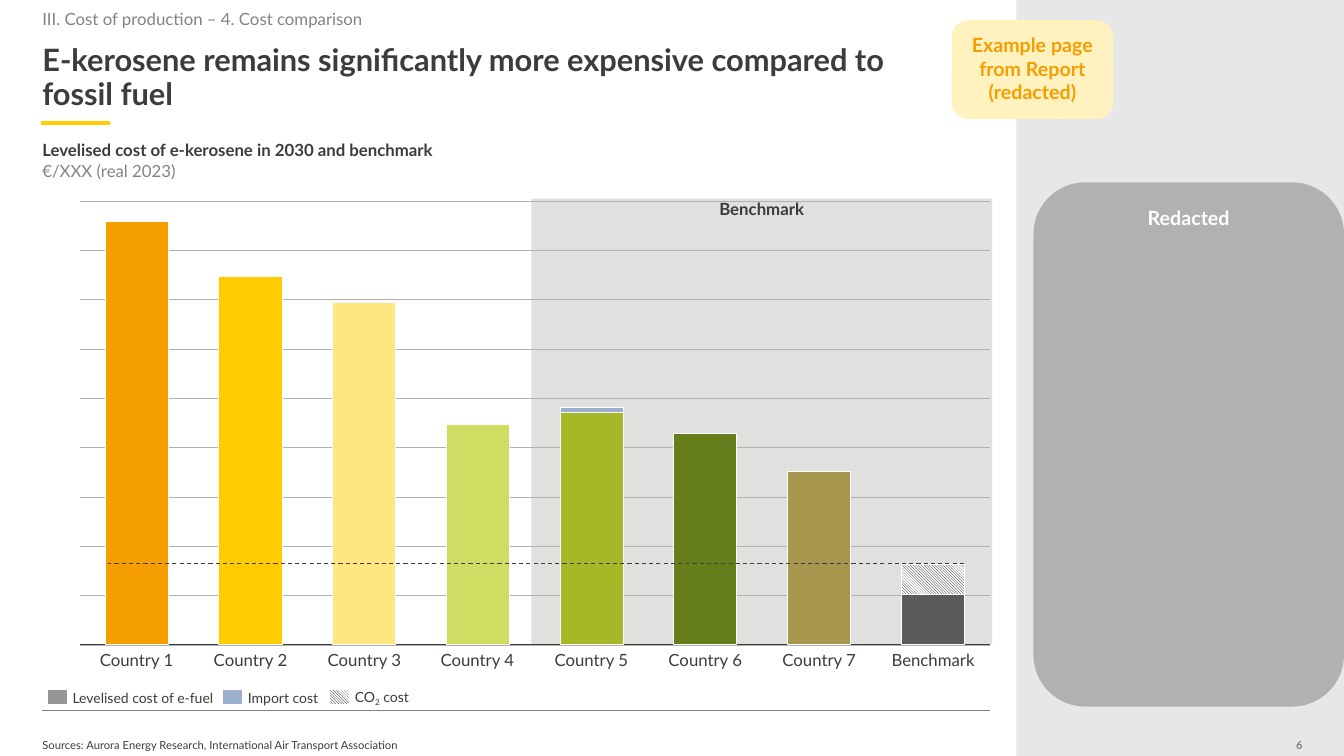
from dataclasses import dataclass
from lxml.etree import SubElement
from pptx import Presentation
from pptx.chart.data import CategoryChartData
from pptx.dml.color import RGBColor
from pptx.enum.chart import XL_CHART_TYPE as ChartType
from pptx.enum.chart import XL_TICK_LABEL_POSITION as TickLabel
from pptx.enum.chart import XL_TICK_MARK as TickMark
from pptx.enum.dml import MSO_LINE as Dash
from pptx.enum.dml import MSO_PATTERN as Pattern
from pptx.enum.shapes import MSO_CONNECTOR as Connector
from pptx.enum.shapes import MSO_SHAPE as Shape
from pptx.enum.text import MSO_ANCHOR as Anchor
from pptx.enum.text import MSO_AUTO_SIZE as AutoSize
from pptx.enum.text import PP_ALIGN as Align
from pptx.oxml.ns import qn
from pptx.util import Emu, Pt

PX = 9144


@dataclass(frozen=True)
class Theme:
    font: str = "Lato"
    title: int = 22
    callout: int = 14
    body: int = 12
    small: int = 10
    note: int = 8
    ink: str = "3C3C3B"
    muted: str = "838383"
    rule: str = "808080"
    white: str = "FFFFFF"
    black: str = "000000"
    panel: str = "E7E7E7"
    band: str = "E0E0DF"
    grey: str = "B1B1B0"
    yellow: str = "FFCC00"
    orange: str = "F59E00"
    cream: str = "FFF2BF"
    efuel: str = "969696"
    imports: str = "9DB1CF"
    hatch: str = "hatch"
    bars: tuple = ("F59E00", "FFCC00", "FFE680", "CFDE63",
                   "A6B727", "657D1A", "A6964E", "5A5A5A")


def rgb(colour):
    return RGBColor.from_string(colour)


def px(*lengths):
    return [Emu(length * PX) for length in lengths]


class SlideBuilder:
    def __init__(self, slide, theme):
        self.slide = slide
        self.theme = theme

    def paint(self, fill, colour):
        if colour == self.theme.hatch:
            fill.patterned()
            fill.pattern = Pattern.LIGHT_DOWNWARD_DIAGONAL
            fill.fore_color.rgb = rgb(self.theme.black)
            fill.back_color.rgb = rgb(self.theme.white)
        else:
            fill.solid()
            fill.fore_color.rgb = rgb(colour)

    def stroke(self, line, colour, width):
        line.color.rgb = rgb(colour)
        line.width = Pt(width)

    def style(self, paragraph, size, colour, bold=False, align=Align.LEFT, spacing=None):
        paragraph.alignment = align
        if spacing:
            paragraph.line_spacing = spacing
        for run in paragraph.runs:
            run.font.name = self.theme.font
            run.font.size = Pt(size)
            run.font.bold = bold
            run.font.color.rgb = rgb(colour)

    def fit(self, frame, inset=0, anchor=Anchor.TOP, wrap=True):
        frame.auto_size = AutoSize.NONE
        frame.word_wrap = wrap
        frame.vertical_anchor = anchor
        frame.margin_left, frame.margin_top, frame.margin_right, frame.margin_bottom = px(*[inset] * 4)

    def title(self, box, text):
        heading = self.slide.shapes.title
        heading.left, heading.top, heading.width, heading.height = px(*box)
        self.fit(heading.text_frame)
        heading.text_frame.text = text
        self.style(heading.text_frame.paragraphs[0], self.theme.title, self.theme.ink, True, spacing=0.9)

    def text(self, box, text, size, colour, anchor=Anchor.TOP, wrap=False, **looks):
        frame = self.slide.shapes.add_textbox(*px(*box)).text_frame
        self.fit(frame, anchor=anchor, wrap=wrap)
        frame.text = text
        for paragraph in frame.paragraphs:
            self.style(paragraph, size, colour, **looks)
        return frame.paragraphs

    def block(self, box, colour, kind=Shape.RECTANGLE, outline=None):
        block = self.slide.shapes.add_shape(kind, *px(*box))
        block.shadow.inherit = False
        self.paint(block.fill, colour)
        if outline:
            self.stroke(block.line, outline, 0.75)
        else:
            block.line.fill.background()
        return block

    def callout(self, box, text, fill, colour):
        frame = self.block(box, fill, Shape.ROUNDED_RECTANGLE).text_frame
        self.fit(frame, inset=8)
        frame.text = text
        self.style(frame.paragraphs[0], self.theme.callout, colour, True, Align.CENTER)

    def line(self, start, end, colour, width, dash=None, cap="flat"):
        line = self.slide.shapes.add_connector(Connector.STRAIGHT, *px(*start, *end))
        self.stroke(line.line, colour, width)
        if dash:
            line.line.dash_style = dash
        properties = line._element.spPr
        properties.find(qn("a:ln")).set("cap", cap)
        SubElement(properties, qn("a:effectLst"))

    def stacked_columns(self, box, categories, series, colours, plot_area):
        data = CategoryChartData()
        data.categories = categories
        for name, values in series:
            data.add_series(name, values)
        chart = self.slide.shapes.add_chart(ChartType.COLUMN_STACKED, *px(*box), data).chart
        chart.has_legend = chart.has_title = False
        chart.font.name = self.theme.font
        chart.font.size = Pt(self.theme.small)
        chart.font.color.rgb = rgb(self.theme.ink)
        for axis in (chart.category_axis, chart.value_axis):
            axis.tick_label_position = TickLabel.NONE
            axis.major_tick_mark = axis.minor_tick_mark = TickMark.NONE
        self.stroke(chart.category_axis.format.line, self.theme.ink, 0.75)
        costs = chart.value_axis
        costs.minimum_scale, costs.maximum_scale, costs.major_unit = 0, 105, 11.66
        costs.format.line.fill.background()
        self.stroke(costs.major_gridlines.format.line, self.theme.grey, 0.25)
        plot = chart.plots[0]
        plot.gap_width, plot.overlap, plot.vary_by_categories = 80, 100, False
        for stack, (base, accents) in zip(plot.series, colours):
            for target, colour in [(stack, base)] + [(stack.points[i], c) for i, c in accents.items()]:
                self.paint(target.format.fill, colour)
                self.stroke(target.format.line, self.theme.white, 0.75)
        self.place_plot(chart, plot_area)

    def place_plot(self, chart, plot_area):
        area = chart._chartSpace.find(".//" + qn("c:plotArea"))
        for stale in area.findall(qn("c:layout")):
            area.remove(stale)
        layout = SubElement(area, qn("c:layout"))
        area.insert(0, layout)
        manual = SubElement(layout, qn("c:manualLayout"))
        settings = [("layoutTarget", "inner"), ("xMode", "edge"), ("yMode", "edge")]
        for tag, value in settings + list(zip("xywh", plot_area)):
            SubElement(manual, qn(f"c:{tag}")).set("val", str(value))


def main():
    deck = Presentation()
    deck.slide_width, deck.slide_height = px(1333, 750)
    theme = Theme()
    page = SlideBuilder(deck.slides.add_slide(deck.slide_layouts[5]), theme)

    page.block((1008, 0, 325, 750), theme.panel)
    page.line((42, 122), (108, 122), theme.yellow, 2.5, cap="rnd")
    page.line((42, 705), (982, 705), theme.rule, 0.25)
    page.text((1268, 734, 24, 12), "6", theme.note, theme.rule, Anchor.BOTTOM,
              bold=True, align=Align.RIGHT, spacing=0.9)

    page.title((42, 45, 889, 67), "E-kerosene remains significantly more expensive compared to fossil fuel")
    page.text((42, 9, 323, 20), "III. Cost of production – 4. Cost comparison", theme.body, theme.muted)
    heading, unit = page.text((42, 139, 941, 40),
                              "Levelised cost of e-kerosene in 2030 and benchmark\n€/XXX (real 2023)",
                              theme.body, theme.ink, wrap=True, bold=True)
    page.style(unit, theme.body, theme.muted)

    page.block((527, 197, 457, 442), theme.band)
    countries = [f"Country {number}" for number in range(1, 8)] + ["Benchmark"]
    page.stacked_columns(
        (70, 190, 921, 459), countries,
        [("Levelised cost of e-fuel", (100, 87, 81, 52, 55, 50, 41, 12)),
         ("Import cost", (None, None, None, None, 1, 0, 0, 7))],
        [(theme.bars[5], dict(enumerate(theme.bars))), (theme.imports, {7: theme.hatch})],
        (0.01, 0.02, 0.98, 0.96))
    for position, country in enumerate(countries):
        width = 85 if country == "Benchmark" else 75
        left = round(135.5 + 112.8 * position - width / 2)
        page.text((left, 645, width, 20), country, theme.body, theme.ink, align=Align.CENTER)
    page.text((527, 197, 457, 20), "Benchmark", theme.body, theme.ink, wrap=True,
              bold=True, align=Align.CENTER)
    page.line((956, 559), (107, 559), theme.ink, 0.75, Dash.DASH)

    legend = [(47, 138, theme.efuel, ("Levelised cost of e-fuel",)),
              (221, 70, theme.imports, ("Import cost",)),
              (327, 54, theme.hatch, ("CO", "2", " cost"))]
    for left, width, colour, (label, *extras) in legend:
        page.block((left, 684, 20, 15), colour, outline=theme.white)
        entry = page.text((left + 25, 684, width, 17), label, theme.small, theme.ink, Anchor.MIDDLE)[0]
        for extra in extras:
            entry.add_run().text = extra
        page.style(entry, theme.small, theme.ink)
        if extras:
            entry.runs[1].font._element.set("baseline", "-25000")

    page.text((42, 734, 361, 12), "Sources: Aurora Energy Research, International Air Transport Association",
              theme.note, theme.ink, Anchor.BOTTOM, spacing=0.9)
    page.callout((1025, 181, 308, 520), "Redacted", theme.grey, theme.white)
    page.callout((944, 20, 160, 98), "Example page from Report (redacted)", theme.cream, theme.orange)
    deck.save("out.pptx")


if __name__ == "__main__":
    main()
